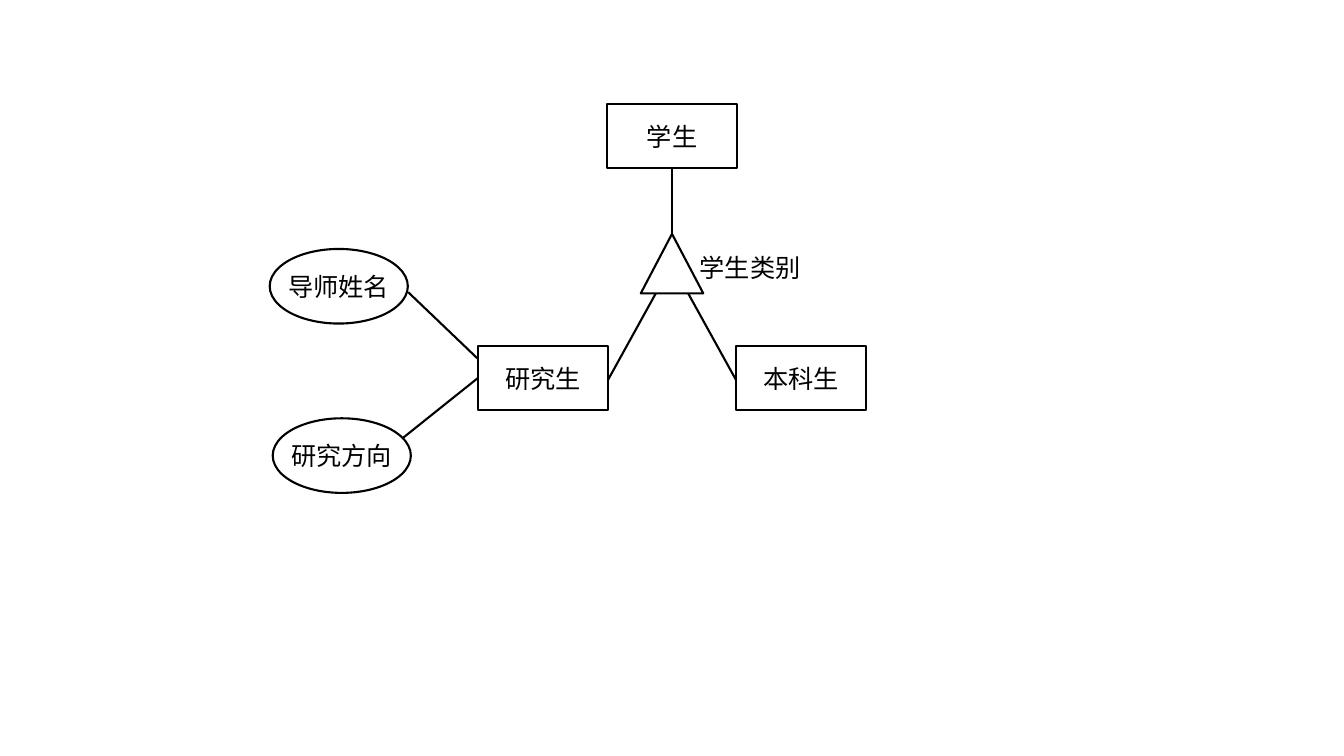
import pptx
import pptx.dml.color
import pptx.enum.shapes
import pptx.enum.text
import pptx.oxml
import pptx.oxml.ns
import pptx.util

BLACK = pptx.dml.color.RGBColor(0x00, 0x00, 0x00)
FONT = "Noto Sans CJK SC"
SHAPES = pptx.enum.shapes.MSO_SHAPE
SLIDE_WIDTH, SLIDE_HEIGHT = 13.33, 7.5
CENTER_X = SLIDE_WIDTH / 2
ENTITY_SIZE = (1.29, 0.64)
ATTRIBUTE_SIZE = (1.37, 0.74)
CATEGORY_SIZE = (0.62, 0.59)
ENTITY_ROW = 3.75
BRANCH = 1.28


def inches(*lengths):
    """Convert lengths in inches to slide units."""
    return [pptx.util.Inches(length) for length in lengths]


def ink(line):
    """Give an outline or a link the diagram's black stroke."""
    line.color.rgb = BLACK
    line.width = pptx.util.Pt(1.5)


def write(frame, text, alignment):
    """Write one unwrapped line of diagram text."""
    frame.word_wrap = False
    frame.vertical_anchor = pptx.enum.text.MSO_ANCHOR.MIDDLE
    paragraph = frame.paragraphs[0]
    paragraph.text = text
    paragraph.alignment = alignment
    paragraph.font.size = pptx.util.Pt(18)
    paragraph.font.name = FONT
    paragraph.font.color.rgb = BLACK
    properties = paragraph.runs[0].font
    properties.name = FONT
    properties.color.rgb = BLACK
    east_asian = pptx.oxml.parse_xml(
        f'<a:ea {pptx.oxml.ns.nsdecls("a")} typeface="{FONT}"/>')
    paragraph.runs[0].font._element.find(
        pptx.oxml.ns.qn("a:latin")).addnext(east_asian)


def add_node(slide, kind, center, size, text=None):
    """Draw an outlined node around its centre, with optional text."""
    (x, y), (width, height) = center, size
    node = slide.shapes.add_shape(
        kind, *inches(x - width / 2, y - height / 2, width, height))
    node.shadow.inherit = False
    node.fill.background()
    ink(node.line)
    if text:
        write(node.text_frame, text, pptx.enum.text.PP_ALIGN.CENTER)


def add_link(slide, start, end):
    """Draw a straight link between two points."""
    link = slide.shapes.add_connector(
        pptx.enum.shapes.MSO_CONNECTOR.STRAIGHT, *inches(*start, *end))
    ink(link.line)
    link._element.spPr.append(pptx.oxml.parse_xml(
        f'<a:effectLst {pptx.oxml.ns.nsdecls("a")}/>'))


def add_label(slide, left, top, text):
    """Place a free-standing label."""
    label = slide.shapes.add_textbox(*inches(left, top, 1.29, 0.4))
    write(label.text_frame, text, pptx.enum.text.PP_ALIGN.LEFT)


def main():
    """Build the student entity hierarchy."""
    deck = pptx.Presentation()
    deck.slide_width, deck.slide_height = inches(SLIDE_WIDTH, SLIDE_HEIGHT)
    slide = deck.slides.add_slide(deck.slide_layouts[6])

    graduate_x, undergraduate_x = CENTER_X - BRANCH, CENTER_X + BRANCH
    for text, x, y in (("学生", CENTER_X, 1.35),
                       ("研究生", graduate_x, ENTITY_ROW),
                       ("本科生", undergraduate_x, ENTITY_ROW)):
        add_node(slide, SHAPES.RECTANGLE, (x, y), ENTITY_SIZE, text)
    add_node(slide, SHAPES.ISOSCELES_TRIANGLE, (CENTER_X, 2.615), CATEGORY_SIZE)
    add_label(slide, 6.84, 2.45, "学生类别")

    half_entity = ENTITY_SIZE[0] / 2
    add_link(slide, (CENTER_X, 1.67), (CENTER_X, 2.32))
    for side in (-1, 1):
        add_link(slide, (CENTER_X + side * 0.16, 2.91),
                 (CENTER_X + side * (BRANCH - half_entity), ENTITY_ROW + 0.02))

    graduate_left = graduate_x - half_entity
    for text, center, joint_y, end in (
            ("导师姓名", (3.36, 2.84), 3.56, (4.05, 2.9)),
            ("研究方向", (3.39, 4.52), ENTITY_ROW, (3.99, 4.35))):
        add_node(slide, SHAPES.OVAL, center, ATTRIBUTE_SIZE, text)
        add_link(slide, (graduate_left, joint_y), end)

    deck.save("out.pptx")


main()
